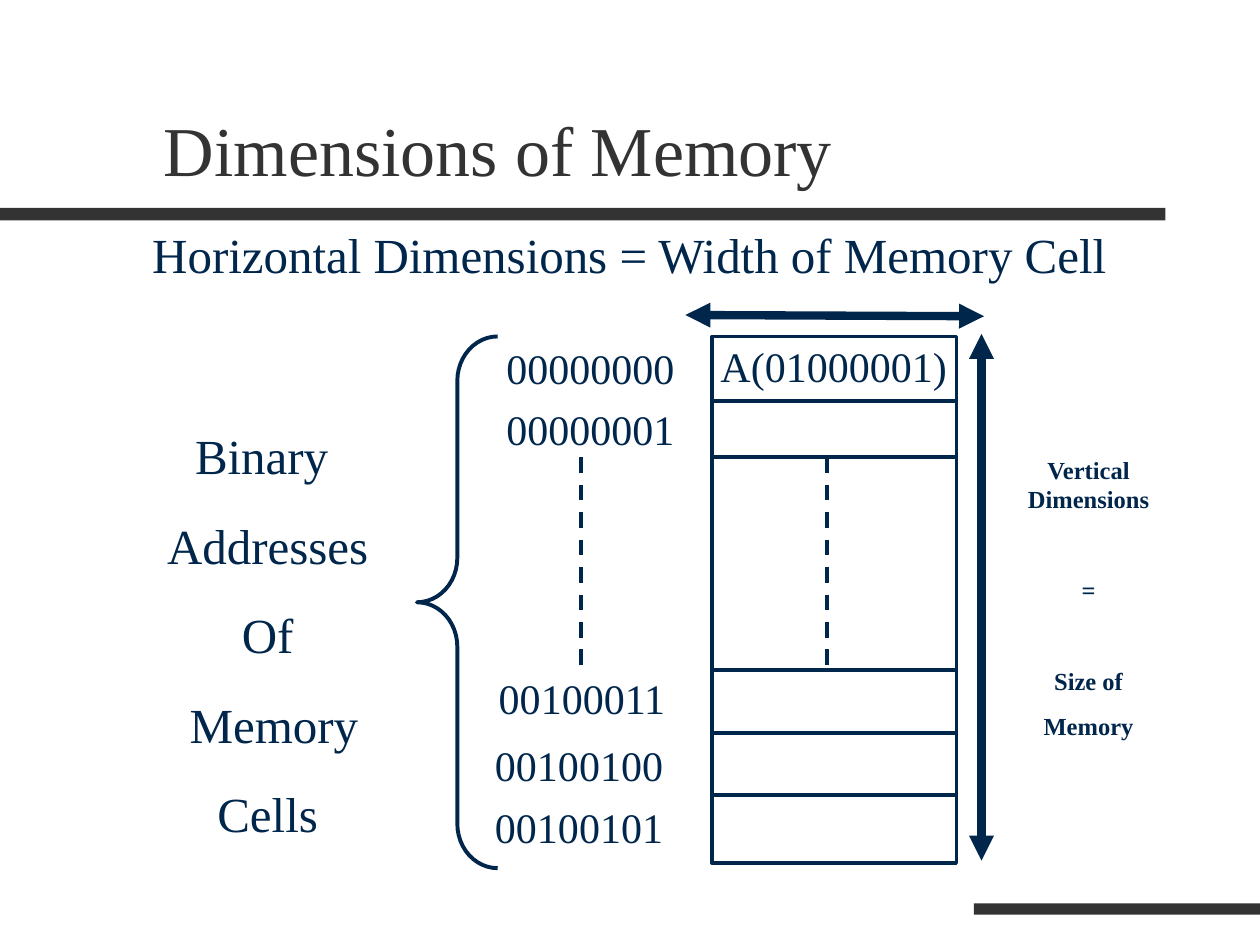
from lxml import etree
from pptx import Presentation
from pptx.dml.color import RGBColor
from pptx.enum.dml import MSO_LINE
from pptx.enum.shapes import MSO_CONNECTOR, MSO_SHAPE
from pptx.enum.text import MSO_ANCHOR, PP_ALIGN
from pptx.oxml.ns import qn
from pptx.util import Inches, Pt

STRAIGHT = MSO_CONNECTOR.STRAIGHT
RECT, BRACE = MSO_SHAPE.RECTANGLE, MSO_SHAPE.LEFT_BRACE
DASH = MSO_LINE.DASH
BOTTOM = MSO_ANCHOR.BOTTOM
LEFT, CENTER = PP_ALIGN.LEFT, PP_ALIGN.CENTER
FONT = "Times New Roman"
NAVY, GRAY = "00264C", "333333"
rgb = RGBColor.from_string

prs = Presentation()
prs.slide_width, prs.slide_height = Inches(10), Inches(7.5)
s = prs.slides.add_slide(prs.slide_layouts[5])


def add_text(box, lines, size, align=LEFT, bold=False):
    """Add a text box; lines are (text, points of space before) pairs."""
    tf = s.shapes.add_textbox(*map(Inches, box)).text_frame
    tf.word_wrap = True
    for i, (text, before) in enumerate(lines):
        p = tf.paragraphs[0] if i == 0 else tf.add_paragraph()
        p.text = text
        p.alignment = align
        p.space_before = Pt(before)
        p.font.name, p.font.size, p.font.bold = FONT, Pt(size), bold
        p.font.color.rgb = rgb(NAVY)


def add_line(x1, y1, x2, y2, width=2.25, dash=None, arrows=False):
    line = s.shapes.add_connector(STRAIGHT, *map(Inches, (x1, y1, x2, y2)))
    line.line.color.rgb = rgb(NAVY)
    line.line.width = Pt(width)
    if dash:
        line.line.dash_style = dash
    if arrows:
        ln = line.line._get_or_add_ln()
        for end in ("a:headEnd", "a:tailEnd"):
            etree.SubElement(ln, qn(end), type="triangle")
    etree.SubElement(line._element.spPr, qn("a:effectLst"))


# Decorative bars
for bar in ((0, 1.65, 9.25, 0.1), (7.73, 7.17, 2.27, 0.09)):
    sp = s.shapes.add_shape(RECT, *map(Inches, bar))
    sp.shadow.inherit = False
    sp.fill.solid()
    sp.fill.fore_color.rgb = rgb(GRAY)
    sp.line.fill.background()

# Title
title = s.shapes.title
title.left, title.top = Inches(1.2), Inches(0.31)
title.width, title.height = Inches(8.5), Inches(1.25)
title.text_frame.text = "Dimensions of Memory"
title.text_frame.vertical_anchor = BOTTOM
p = title.text_frame.paragraphs[0]
p.alignment = LEFT
p.font.name, p.font.size = FONT, Pt(40)
p.font.color.rgb = rgb(GRAY)

# Horizontal dimension
add_text((0.32, 1.73, 9.35, 0.55),
         [("Horizontal Dimensions = Width of Memory Cell", 0)], 28, CENTER)
add_line(5.44, 2.5, 7.81, 2.51, 4.75, arrows=True)

# Memory block outline and address brace
for kind, box, width in ((RECT, (5.65, 2.67, 1.94, 4.18), 2),
                         (BRACE, (3.31, 2.67, 0.64, 4.22), 2.25)):
    sp = s.shapes.add_shape(kind, *map(Inches, box))
    sp.shadow.inherit = False
    sp.fill.background()
    sp.line.color.rgb = rgb(NAVY)
    sp.line.width = Pt(width)
    if kind == BRACE:
        sp.adjustments[0] = 0.55

# Cell dividers, and dashes for the cells left out
for y in (3.18, 3.63, 5.32, 5.82, 6.31):
    add_line(5.65, y, 7.59, y)
for x in (4.61, 6.56):
    add_line(x, 3.63, x, 5.32, dash=DASH)

# Addresses and the content of the first cell
for x, y, address in ((3.92, 2.67, "00000000"), (3.92, 3.15, "00000001"),
                      (3.86, 5.29, "00100011"), (3.83, 5.82, "00100100"),
                      (3.83, 6.31, "00100101")):
    add_text((x, y, 1.68, 0.5), [(address, 0)], 24)
add_text((5.62, 2.65, 2.17, 0.5), [("A(01000001)", 0)], 24)

# Address label
words = ("Binary ", "Addresses", "Of", " Memory", "Cells")
add_text((1.11, 3.33, 2.03, 3.41), [(word, 17.5) for word in words], 28, CENTER)

# Vertical dimension
add_line(7.79, 2.65, 7.79, 6.83, 4.75, arrows=True)
add_text((8.01, 3.56, 1.26, 2.35),
         [("Vertical Dimensions", 0), ("=", 35), ("Size of", 35), ("Memory", 9)],
         14, CENTER, bold=True)

prs.save("out.pptx")
